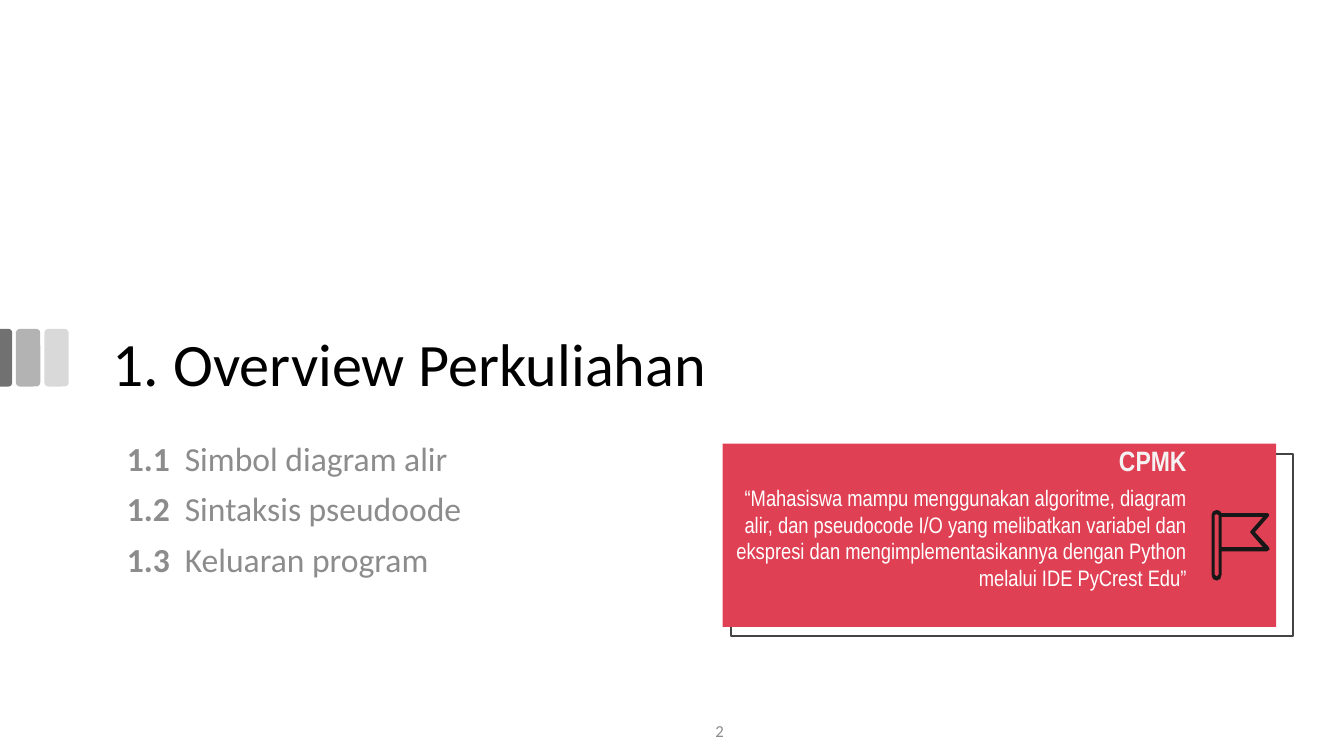
"""Build a section slide with a topic list and a learning outcome card."""
from pptx import Presentation
from pptx.dml.color import RGBColor
from pptx.enum.shapes import MSO_SHAPE
from pptx.enum.text import MSO_ANCHOR, MSO_AUTO_SIZE, PP_ALIGN
from pptx.util import Pt

BLACK = RGBColor(0x00, 0x00, 0x00)
WHITE = RGBColor(0xFF, 0xFF, 0xFF)
OFF_WHITE = RGBColor(0xF4, 0xF2, 0xF2)
GRAY = RGBColor(0x8C, 0x8C, 0x8C)
DARK_GRAY = RGBColor(0x71, 0x71, 0x71)
MIDDLE_GRAY = RGBColor(0xB3, 0xB3, 0xB3)
LIGHT_GRAY = RGBColor(0xD9, 0xD9, 0xD9)
FRAME_GRAY = RGBColor(0x43, 0x43, 0x43)
RED = RGBColor(0xE0, 0x40, 0x53)
INK = RGBColor(0x18, 0x17, 0x17)

TITLE = [("1. ", 44), ("Overview Perkuliahan", 43)]
TOPICS = [
    ("1.1", "Simbol diagram alir"),
    ("1.2", "Sintaksis pseudoode"),
    ("1.3", "Keluaran program"),
]
CARD_HEADING = "CPMK"
CARD_TEXT = (
    "“Mahasiswa mampu menggunakan algoritme, diagram alir, dan pseudocode I/O "
    "yang melibatkan variabel dan ekspresi dan mengimplementasikannya dengan "
    "Python melalui IDE PyCrest Edu”"
)
PAGE_NUMBER = "2"
TOPIC_INDENT = 41.4
TAB_TOP, TAB_WIDTH, TAB_HEIGHT = 234.9, 17.4, 41.2
ROUNDED_TABS = [(31.7, LIGHT_GRAY), (11.4, MIDDLE_GRAY)]
EDGE_TAB_WIDTH = 8.6

FLAG_LEFT, FLAG_TOP = 865.4, 364.3
FLAG_UNITS_PER_POINT = 10
FLAG_CONTOURS = [
    [(367, 50), (277, 153), (277, 162), (367, 266), (72, 266), (72, 50)],
    [(36, 29), (50, 36), (50, 461), (36, 475), (22, 461), (22, 36)],
    [(36, 0), (10, 11), (0, 36), (0, 461), (10, 493), (36, 504),
     (62, 493), (72, 461), (72, 295), (396, 295), (414, 284), (410, 266),
     (310, 158), (410, 43), (412, 30), (396, 22), (70, 22), (60, 7)],
]


def paint(shape, fill=None, line=None):
    """Give a shape a plain fill and outline without shadow."""
    shape.shadow.inherit = False
    if fill is None:
        shape.fill.background()
    else:
        shape.fill.solid()
        shape.fill.fore_color.rgb = fill
    if line is None:
        shape.line.fill.background()
    else:
        shape.line.color.rgb = line
        shape.line.width = Pt(1.5)


def add_block(page, kind, left, top, width, height, fill=None, line=None):
    """Add a preset shape placed in points."""
    shape = page.shapes.add_shape(kind, Pt(left), Pt(top), Pt(width), Pt(height))
    paint(shape, fill, line)
    return shape


def style(para, font_name, size, color, bold=None, align=PP_ALIGN.LEFT):
    """Set the font and alignment of a paragraph."""
    para.font.name = font_name
    para.font.size = Pt(size)
    para.font.color.rgb = color
    para.font.bold = bold
    para.alignment = align


def add_frame(page, left, top, width, height, anchor=MSO_ANCHOR.TOP, inset=None):
    """Add a wrapping text box and return its text frame."""
    box = page.shapes.add_textbox(Pt(left), Pt(top), Pt(width), Pt(height))
    frame = box.text_frame
    frame.word_wrap = True
    frame.vertical_anchor = anchor
    if inset is not None:
        frame.margin_left = frame.margin_right = Pt(inset)
        frame.margin_top = frame.margin_bottom = Pt(inset)
    return frame


def add_edge_tabs(page):
    """Draw the three gray tabs at the left edge."""
    for left, color in ROUNDED_TABS:
        add_block(page, MSO_SHAPE.ROUNDED_RECTANGLE, left, TAB_TOP,
                  TAB_WIDTH, TAB_HEIGHT, color)
    left = (EDGE_TAB_WIDTH - TAB_HEIGHT) / 2
    top = TAB_TOP + (TAB_HEIGHT - EDGE_TAB_WIDTH) / 2
    tab = add_block(page, MSO_SHAPE.ROUND_2_SAME_RECTANGLE, left, top,
                    TAB_HEIGHT, EDGE_TAB_WIDTH, DARK_GRAY)
    tab.adjustments[0] = 0.29
    tab.rotation = 90


def add_title(page):
    """Place and fill the title."""
    title = page.shapes.title
    title.left, title.top = Pt(73.4), Pt(217.4)
    title.width, title.height = Pt(828), Pt(72)
    frame = title.text_frame
    frame.auto_size = MSO_AUTO_SIZE.NONE
    frame.vertical_anchor = MSO_ANCHOR.BOTTOM
    para = frame.paragraphs[0]
    style(para, "Calibri", 43, BLACK)
    para.line_spacing = 0.9
    for text, size in TITLE:
        span = para.add_run()
        span.text = text
        span.font.size = Pt(size)


def add_topics(page):
    """List the numbered topics with a hanging indent."""
    frame = add_frame(page, 83.5, 312.5, 546.5, 156.2)
    for index, (number, topic) in enumerate(TOPICS):
        para = frame.add_paragraph() if index else frame.paragraphs[0]
        style(para, "Calibri", 24, GRAY)
        para.line_spacing = 0.9
        para.space_before = Pt(10)
        properties = para._p.get_or_add_pPr()
        properties.set("marL", str(Pt(TOPIC_INDENT)))
        properties.set("indent", str(-Pt(TOPIC_INDENT)))
        for text, bold in ((number + "\t", True), (topic, False)):
            span = para.add_run()
            span.text = text
            span.font.bold = bold


def add_flag(page):
    """Draw the outlined flag as one shape with two holes."""
    unit = Pt(1) / FLAG_UNITS_PER_POINT
    builder = page.shapes.build_freeform(*FLAG_CONTOURS[0][0], scale=unit)
    for index, contour in enumerate(FLAG_CONTOURS):
        if index:
            builder.move_to(*contour[0])
        builder.add_line_segments(contour[1:], close=True)
    paint(builder.convert_to_shape(Pt(FLAG_LEFT), Pt(FLAG_TOP)), INK)


def add_card(page):
    """Draw the red card, its offset frame, its text and the flag."""
    add_block(page, MSO_SHAPE.RECTANGLE, 522, 324, 401.8, 130.3, line=FRAME_GRAY)
    add_block(page, MSO_SHAPE.RECTANGLE, 516.2, 316.8, 395.3, 131, RED)
    body = add_frame(page, 506.9, 338.4, 347.8, 95.8, inset=7.2)
    body.text = CARD_TEXT
    style(body.paragraphs[0], "Arial Narrow", 16, WHITE, align=PP_ALIGN.RIGHT)
    heading = add_frame(page, 601.9, 303.8, 252.8, 43.9, MSO_ANCHOR.BOTTOM, 7.2)
    heading.text = CARD_HEADING
    style(heading.paragraphs[0], "Arial Narrow", 20, OFF_WHITE, True, PP_ALIGN.RIGHT)
    add_flag(page)


def add_page_number(page):
    """Write the page number at the bottom."""
    frame = add_frame(page, 406, 507.6, 216, 28.8, MSO_ANCHOR.MIDDLE)
    frame.text = PAGE_NUMBER
    style(frame.paragraphs[0], "Calibri", 12, GRAY, align=PP_ALIGN.CENTER)


def main():
    """Build and save the deck."""
    deck = Presentation()
    deck.slide_width, deck.slide_height = Pt(960), Pt(540)
    page = deck.slides.add_slide(deck.slide_layouts[5])
    add_edge_tabs(page)
    add_title(page)
    add_topics(page)
    add_card(page)
    add_page_number(page)
    deck.save("out.pptx")


if __name__ == "__main__":
    main()
